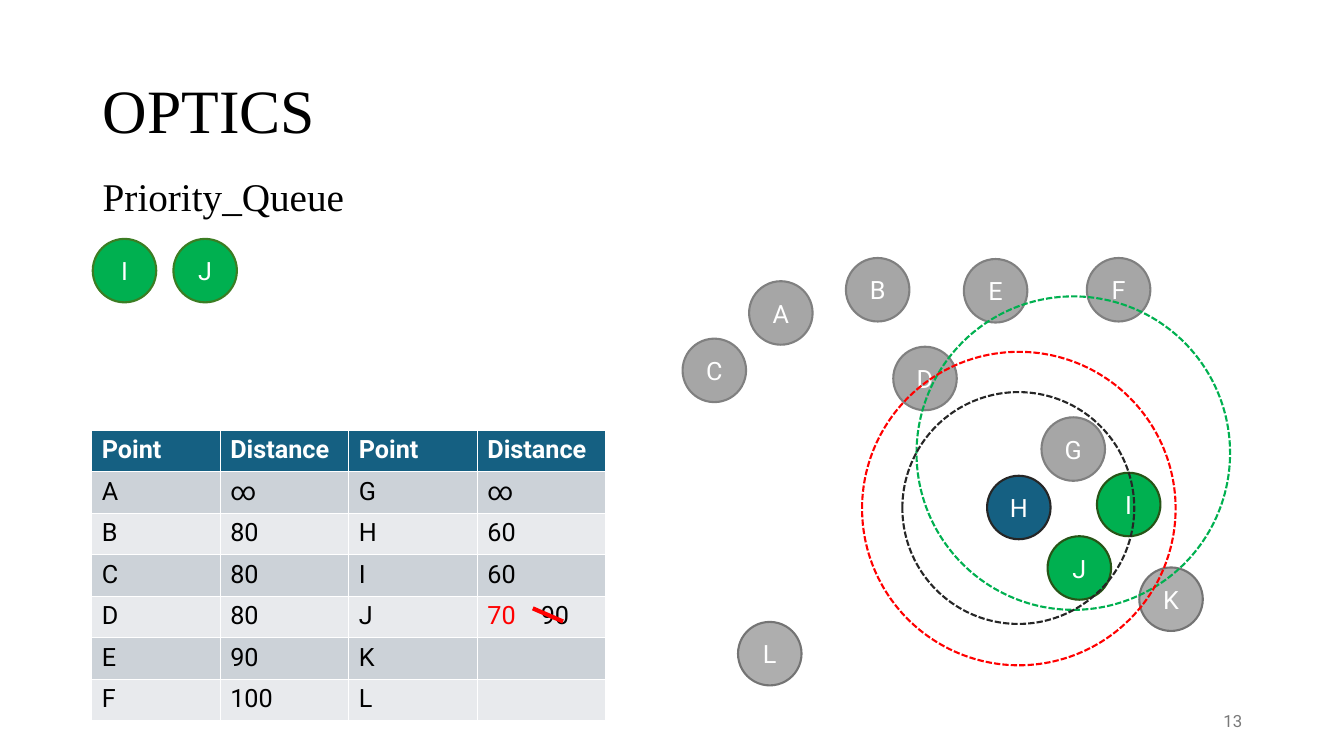
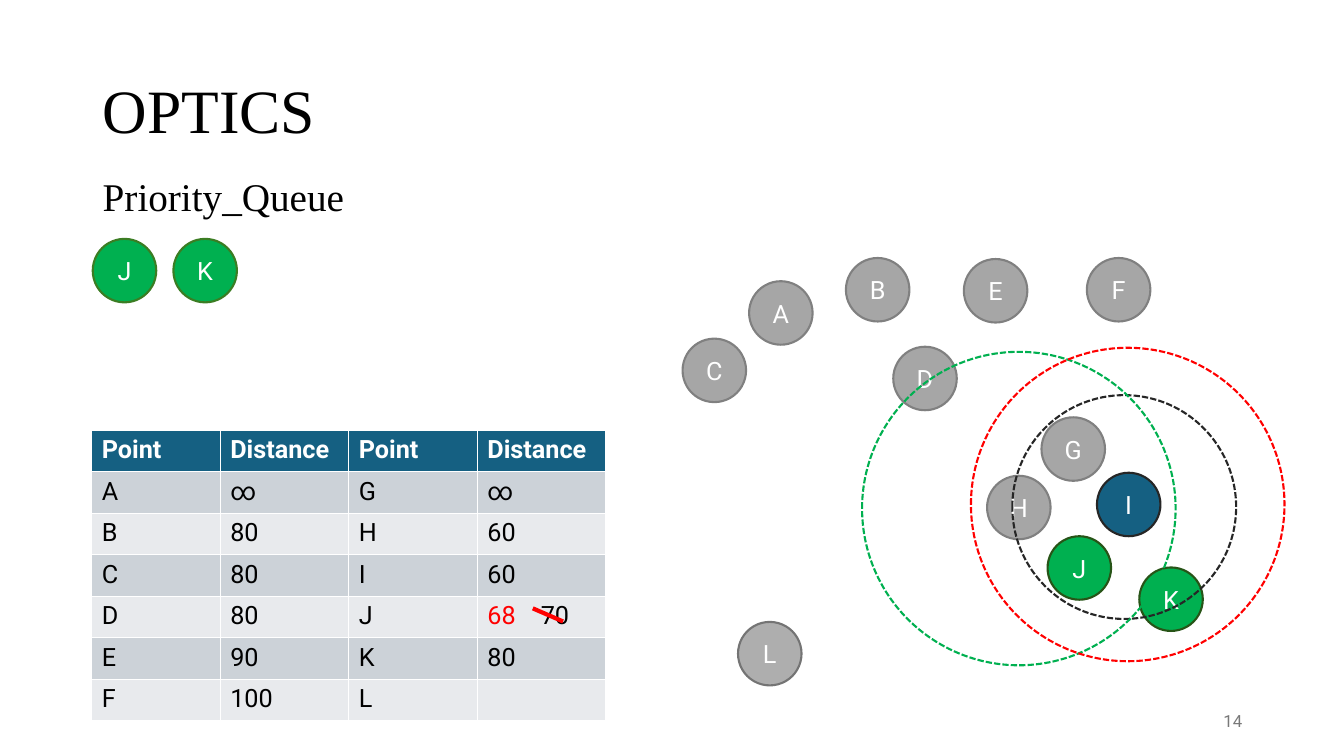
from lxml import etree
from pptx import Presentation
from pptx.dml.color import RGBColor
from pptx.enum.dml import MSO_LINE
from pptx.enum.shapes import MSO_CONNECTOR, MSO_SHAPE
from pptx.enum.text import MSO_ANCHOR, MSO_AUTO_SIZE, PP_ALIGN
from pptx.oxml.ns import qn
from pptx.util import Inches, Pt

OVAL = MSO_SHAPE.OVAL
STRAIGHT = MSO_CONNECTOR.STRAIGHT
DASH = MSO_LINE.SQUARE_DOT
MIDDLE = MSO_ANCHOR.MIDDLE
LEFT, CENTER, RIGHT = PP_ALIGN.LEFT, PP_ALIGN.CENTER, PP_ALIGN.RIGHT

SERIF, SANS = "Times New Roman", "Roboto"
BLACK, WHITE, RED, GREEN = "000000", "FFFFFF", "FF0000", "00B050"
BLUE, CHARCOAL, NUMBER_GRAY = "156082", "262626", "797979"
BANDS = ("CCD2D8", "E8EAED")

# Fill and outline of a point in each state
STATES = {
    "done": ("A6A6A6", "808080"),
    "unseen": ("AEAEAE", "747474"),
    "current": (BLUE, CHARCOAL),
    "seed": (GREEN, "275417"),
    "queued": (GREEN, "3B7D23"),
}

TITLE_ONLY = 5
POINT_SIZE = 0.63
QUEUE_STEP = 0.8
RADIUS_RING = 3.11

# Boxes: left, top, width, height
TITLE_BOX = (0.92, 0.4, 11.5, 1.45)
NUMBER_BOX = (9.42, 6.95, 3, 0.4)
QUEUE_BOX = (0.92, 1.66, 3.05, 0.57)
TABLE_BOX = (0.91, 4.27, 5.1, 2.88)
MAP_ORIGIN = (6.77, 2.56)

# Offsets from the map origin
POINTS = {
    "A": (0.66, 0.23), "B": (1.62, 0), "C": (0, 0.8), "D": (2.09, 0.88),
    "E": (2.79, 0.01), "F": (4.01, 0), "G": (3.56, 1.58), "H": (3.02, 2.16),
    "I": (4.11, 2.13), "J": (3.62, 2.76), "K": (4.53, 3.07), "L": (0.55, 3.61),
}

HEADER = ("Point", "Distance", "Point", "Distance")
FIRST_DISTANCES = ("∞", "80", "80", "80", "90", "100")
REVISED_ROW, REVISED_COLUMN = 4, 3

# Rings: left and top from the map origin, diameter, colour
STEPS = [
    {
        "number": "13", "queue": "IJ", "current": "H", "unseen": "KL",
        "distances": ("∞", "60", "60", "70\t90", "", ""),
        "rings": [(2.32, 0.38, RADIUS_RING, GREEN),
                  (2.18, 1.33, 2.3, CHARCOAL),
                  (1.78, 0.93, RADIUS_RING, RED)],
    },
    {
        "number": "14", "queue": "JK", "current": "I", "unseen": "L",
        "distances": ("∞", "60", "60", "68\t70", "80", ""),
        "rings": [(3.27, 1.36, 2.22, CHARCOAL),
                  (1.78, 0.93, RADIUS_RING, GREEN),
                  (2.86, 0.89, RADIUS_RING, RED)],
    },
]


def rgb(value):
    return RGBColor.from_string(value)


def inches(values):
    return [Inches(value) for value in values]


def write(paragraph, text, size=18, font=SANS, color=BLACK, bold=False, align=LEFT):
    """Append a formatted run to the paragraph."""
    paragraph.alignment = align
    run = paragraph.add_run()
    run.text = text
    run.font.size = Pt(size)
    run.font.name = font
    run.font.bold = bold
    run.font.color.rgb = rgb(color)


def add_label(slide, box, text, anchor=None, **style):
    frame = slide.shapes.add_textbox(*inches(box)).text_frame
    frame.word_wrap = True
    if anchor is not None:
        frame.vertical_anchor = anchor
    write(frame.paragraphs[0], text, **style)


def add_circle(slide, left, top, size, line, fill=None):
    circle = slide.shapes.add_shape(OVAL, *inches((left, top, size, size)))
    circle.shadow.inherit = False
    circle.line.color.rgb = rgb(line)
    circle.line.width = Pt(1.5)
    if fill:
        circle.fill.solid()
        circle.fill.fore_color.rgb = rgb(fill)
    else:
        circle.fill.background()
    return circle


def add_point(slide, left, top, letter, state):
    fill, line = STATES[state]
    frame = add_circle(slide, left, top, POINT_SIZE, line, fill).text_frame
    frame.vertical_anchor = MIDDLE
    write(frame.paragraphs[0], letter, color=WHITE, align=CENTER)


def add_frame(slide, number):
    """Fill in the title and the slide number."""
    title = slide.shapes.title
    title.left, title.top, title.width, title.height = inches(TITLE_BOX)
    frame = title.text_frame
    frame.auto_size = MSO_AUTO_SIZE.NONE
    frame.vertical_anchor = MIDDLE
    frame.paragraphs[0].line_spacing = 0.9
    write(frame.paragraphs[0], "OPTICS", size=44, font=SERIF)
    add_label(slide, NUMBER_BOX, number, anchor=MIDDLE, size=12,
              color=NUMBER_GRAY, align=RIGHT)


def add_queue(slide, box, letters):
    left, top = box[:2]
    add_label(slide, box, "Priority_Queue", size=28, font=SERIF)
    for place, letter in enumerate(letters):
        add_point(slide, left + place * QUEUE_STEP, top + 0.71, letter, "queued")


def add_strike(slide, left, top):
    strike = slide.shapes.add_connector(
        STRAIGHT, *inches((left, top, left + 0.3, top + 0.13)))
    strike.line.color.rgb = rgb(RED)
    strike.line.width = Pt(3)
    etree.SubElement(strike._element.spPr, qn("a:effectLst"))


def write_revision(paragraph, text):
    """Write the new distance in red, then the old one at a tab stop."""
    new, old = text.split("\t")
    stops = etree.SubElement(paragraph._p.get_or_add_pPr(), qn("a:tabLst"))
    etree.SubElement(stops, qn("a:tab"), pos=str(Inches(0.53)), algn="l")
    write(paragraph, new + "\t", color=RED)
    write(paragraph, old)


def add_distances(slide, box, distances):
    rows = [HEADER, *zip("ABCDEF", FIRST_DISTANCES, "GHIJKL", distances)]
    left, top, width, height = box
    column_width, row_height = width / len(HEADER), height / len(rows)
    table = slide.shapes.add_table(len(rows), len(HEADER), *inches(box)).table
    for r, row in enumerate(rows):
        for c, text in enumerate(row):
            cell = table.cell(r, c)
            cell.fill.solid()
            cell.fill.fore_color.rgb = rgb(BANDS[(r - 1) % 2] if r else BLUE)
            paragraph = cell.text_frame.paragraphs[0]
            if "\t" in text:
                write_revision(paragraph, text)
            elif text:
                write(paragraph, text, color=BLACK if r else WHITE, bold=r == 0)
    add_strike(slide, left + REVISED_COLUMN * column_width + 0.55,
               top + REVISED_ROW * row_height + 0.12)


def add_map(slide, origin, step):
    """Place the points by state, then the dashed neighbourhood rings."""
    x, y = origin
    for letter, (dx, dy) in POINTS.items():
        if letter == step["current"]:
            state = "current"
        elif letter in step["queue"]:
            state = "seed"
        elif letter in step["unseen"]:
            state = "unseen"
        else:
            state = "done"
        add_point(slide, x + dx, y + dy, letter, state)
    for dx, dy, size, color in step["rings"]:
        add_circle(slide, x + dx, y + dy, size, color).line.dash_style = DASH


def build_step(deck, step):
    slide = deck.slides.add_slide(deck.slide_layouts[TITLE_ONLY])
    add_frame(slide, step["number"])
    add_queue(slide, QUEUE_BOX, step["queue"])
    add_distances(slide, TABLE_BOX, step["distances"])
    add_map(slide, MAP_ORIGIN, step)


def main():
    deck = Presentation()
    deck.slide_width, deck.slide_height = inches((13.33, 7.5))
    for step in STEPS:
        build_step(deck, step)
    deck.save("out.pptx")


if __name__ == "__main__":
    main()
